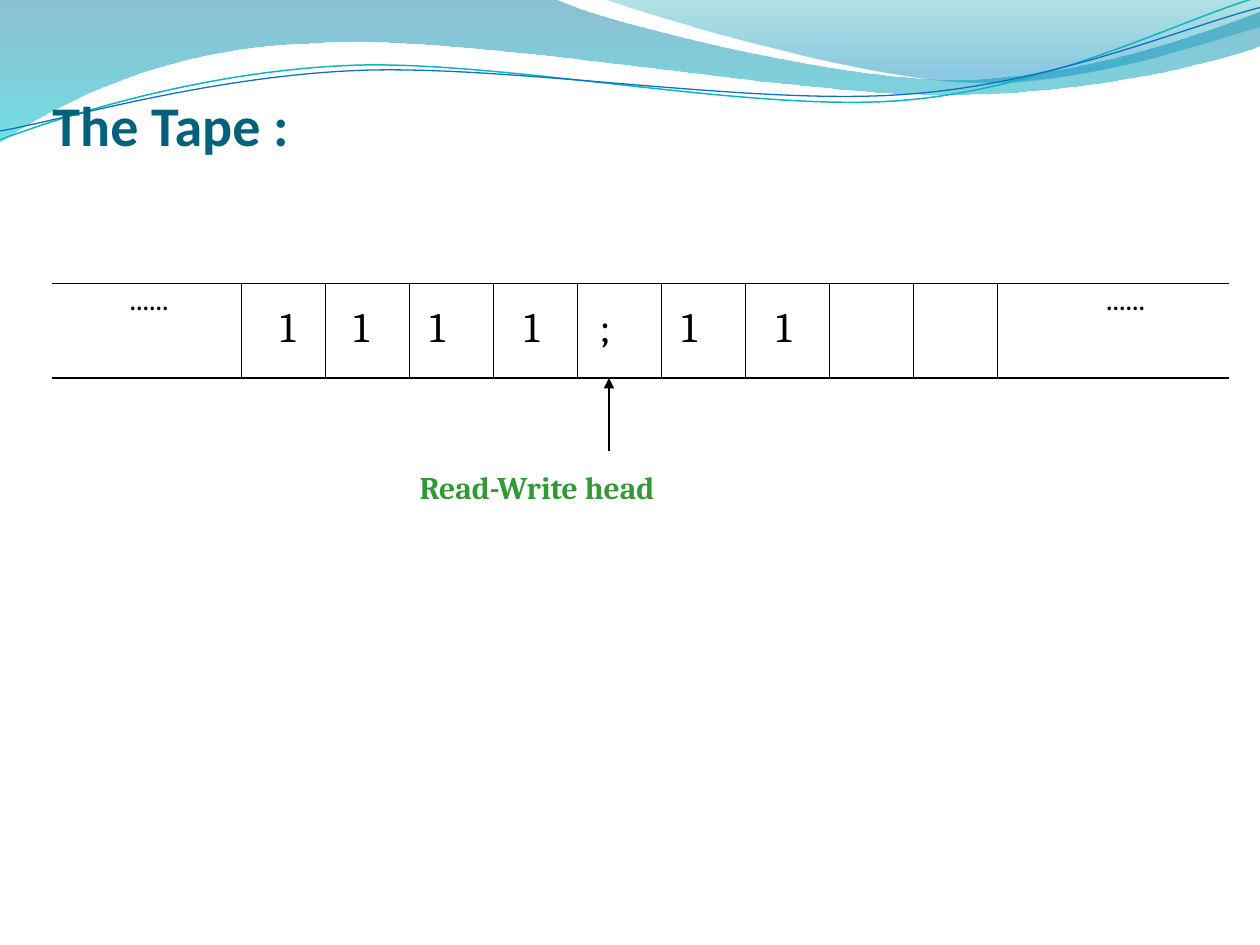
from dataclasses import dataclass

from lxml.etree import SubElement
from pptx import Presentation
from pptx.dml.color import RGBColor
from pptx.enum.shapes import MSO_CONNECTOR
from pptx.enum.text import MSO_ANCHOR, MSO_AUTO_SIZE, PP_ALIGN
from pptx.oxml.ns import qn
from pptx.util import Inches, Pt

BLACK = RGBColor(0x00, 0x00, 0x00)
TITLE = RGBColor(0x04, 0x61, 0x7B)
GREEN = RGBColor(0x33, 0x99, 0x33)
TEAL = RGBColor(0x0A, 0xB8, 0xBF)
BLUE = RGBColor(0x0F, 0x6F, 0xC6)
DEEP = RGBColor(0x00, 0x74, 0xA1)
AQUA = RGBColor(0x00, 0xC6, 0xCF)
SEA = RGBColor(0x00, 0xA1, 0xA9)
SKY = RGBColor(0x00, 0x8B, 0xBF)

# The slide is a grid of 120 columns by 90 rows.
UNIT = Inches(10) / 120
CENT = Inches(1) / 100
LEFT, RIGHT, TOP, BASE = 5, 117, 27, 36
FIRST, STEP, CELLS = 23, 8, 9
HEAD = 58


@dataclass
class Stop:
    """A gradient stop: place and opacity in percent."""
    place: int
    color: RGBColor
    alpha: int


@dataclass
class Wave:
    """A curved band or line; points are hundredths of an inch."""
    start: tuple
    legs: list
    stops: tuple = ()
    color: RGBColor = None
    width: float = 0


@dataclass
class Label:
    """A text in a box measured in grid units."""
    text: str
    box: tuple
    size: int = 24
    color: RGBColor = BLACK
    bold: bool = False


WAVES = [
    Wave((0, -1), [(440, -1), (476, 17, 664, 63, 758, 63),
                   (853, 63, 958, 26, 1000, 9), (1001, 36),
                   (983, 44, 870, 76, 746, 75),
                   (622, 75, 382, 28, 257, 34),
                   (129, 36, 46, 83, -1, 113)],
         stops=(Stop(0, DEEP, 45), Stop(100, AQUA, 55))),
    Wave((479, -1), [(509, 11, 682, 62, 769, 65),
                     (856, 69, 961, 32, 1000, 21), (1000, 0)],
         stops=(Stop(0, SEA, 30), Stop(80, SKY, 45))),
    Wave((0, 111), [(48, 93, 158, 57, 277, 52),
                    (395, 47, 593, 89, 713, 80),
                    (833, 71, 938, 15, 998, -2)], color=TEAL, width=0.85),
    Wave((0, 104), [(47, 96, 164, 61, 283, 56),
                    (403, 51, 597, 84, 717, 75),
                    (836, 67, 941, 21, 1000, 6)], color=BLUE, width=0.75),
]

MARKS = [(22, "1"), (29, "1"), (36.25, "1"), (45.25, "1"),
         (52.25, ";"), (60.25, "1"), (69.25, "1")]
LABELS = [Label("......", (col, 26, 10.4, 7.5), 18) for col in (102, 9)]
LABELS += [Label("Read-Write head", (38, 44, 26.3, 4.8), 18, GREEN, True)]
LABELS += [Label(mark, (col, 28, 10.8, 6)) for col, mark in MARKS]


def grid(*cells: float) -> list:
    """Turn grid units into slide lengths."""
    return [round(cell * UNIT) for cell in cells]


def apply(target, values: dict) -> None:
    """Set each named value on the target."""
    for name, value in values.items():
        setattr(target, name, value)


def bend(shape, legs: list) -> None:
    """Join each three steps of a curved leg into one curve."""
    route = next(shape.element.iter(qn("a:path")))
    steps = iter(list(route.iter(qn("a:lnTo"))))
    for leg in legs:
        group = [next(steps) for _ in range(len(leg) // 2)]
        if len(group) == 3:
            curve = SubElement(route, qn("a:cubicBezTo"))
            group[0].addprevious(curve)
            for step in group:
                curve.append(step[0])
                route.remove(step)


def draw_wave(shapes, wave: Wave) -> None:
    """Draw a filled band or a thin curved line."""
    points = [leg[i:i + 2] for leg in wave.legs
              for i in range(0, len(leg), 2)]
    pen = shapes.build_freeform(*wave.start, scale=CENT)
    pen.add_line_segments(points, close=bool(wave.stops))
    shape = pen.convert_to_shape()
    shape.shadow.inherit = False
    bend(shape, wave.legs)
    if not wave.stops:
        shape.fill.background()
        shape.line.color.rgb = wave.color
        shape.line.width = Pt(wave.width)
        return
    shape.line.fill.background()
    shape.fill.gradient()
    shape.fill.gradient_angle = 270
    for mark, stop in zip(shape.fill.gradient_stops, wave.stops):
        mark.position = stop.place / 100
        mark.color.rgb = stop.color
    for tint, stop in zip(shape.element.iter(qn("a:srgbClr")), wave.stops):
        SubElement(tint, qn("a:alpha"), val=str(stop.alpha * 1000))


def draw_line(shapes, ends: tuple, arrow: bool = False) -> None:
    """Draw a thin black line between two grid points."""
    line = shapes.add_connector(MSO_CONNECTOR.STRAIGHT, *grid(*ends))
    line.line.color.rgb = BLACK
    line.line.width = Pt(0.75)
    if arrow:
        SubElement(next(line.element.iter(qn("a:ln"))), qn("a:tailEnd"),
                   type="triangle")
    SubElement(line.element.spPr, qn("a:effectLst"))


def draw_label(shapes, label: Label) -> None:
    """Draw a centred text."""
    frame = shapes.add_textbox(*grid(*label.box)).text_frame
    apply(frame, {"word_wrap": False, "text": label.text})
    line = frame.paragraphs[0]
    line.alignment = PP_ALIGN.CENTER
    apply(line.runs[0].font, {"name": "Cambria", "size": Pt(label.size),
                              "bold": label.bold})
    line.runs[0].font.color.rgb = label.color


def draw_title(shapes, text: str) -> None:
    """Place and format the title in front of the waves."""
    title = shapes.title
    shapes.element.append(title.element)
    sides = ("left", "top", "width", "height")
    apply(title, dict(zip(sides, grid(LEFT, 0, 109, 15))))
    apply(title.text_frame, {
        "text": text, "word_wrap": True, "auto_size": MSO_AUTO_SIZE.NONE,
        "vertical_anchor": MSO_ANCHOR.BOTTOM, "margin_left": 0,
        "margin_top": Inches(0.05), "margin_right": 0, "margin_bottom": 0})
    line = title.text_frame.paragraphs[0]
    line.alignment = PP_ALIGN.LEFT
    apply(line.runs[0].font, {"name": "Calibri", "size": Pt(32), "bold": True})
    line.runs[0].font.color.rgb = TITLE


def main() -> None:
    """Build and save the slide."""
    deck = Presentation()
    apply(deck, {"slide_width": Inches(10), "slide_height": Inches(7.5)})
    shapes = deck.slides.add_slide(deck.slide_layouts[5]).shapes
    for wave in WAVES:
        draw_wave(shapes, wave)
    draw_title(shapes, "The Tape :")
    for row in (TOP, BASE):
        draw_line(shapes, (LEFT, row, RIGHT, row))
    for i in range(CELLS + 1):
        col = FIRST + i * STEP
        draw_line(shapes, (col, TOP, col, BASE))
    draw_line(shapes, (HEAD, 43, HEAD, BASE), arrow=True)
    for label in LABELS:
        draw_label(shapes, label)
    deck.save("out.pptx")


main()
